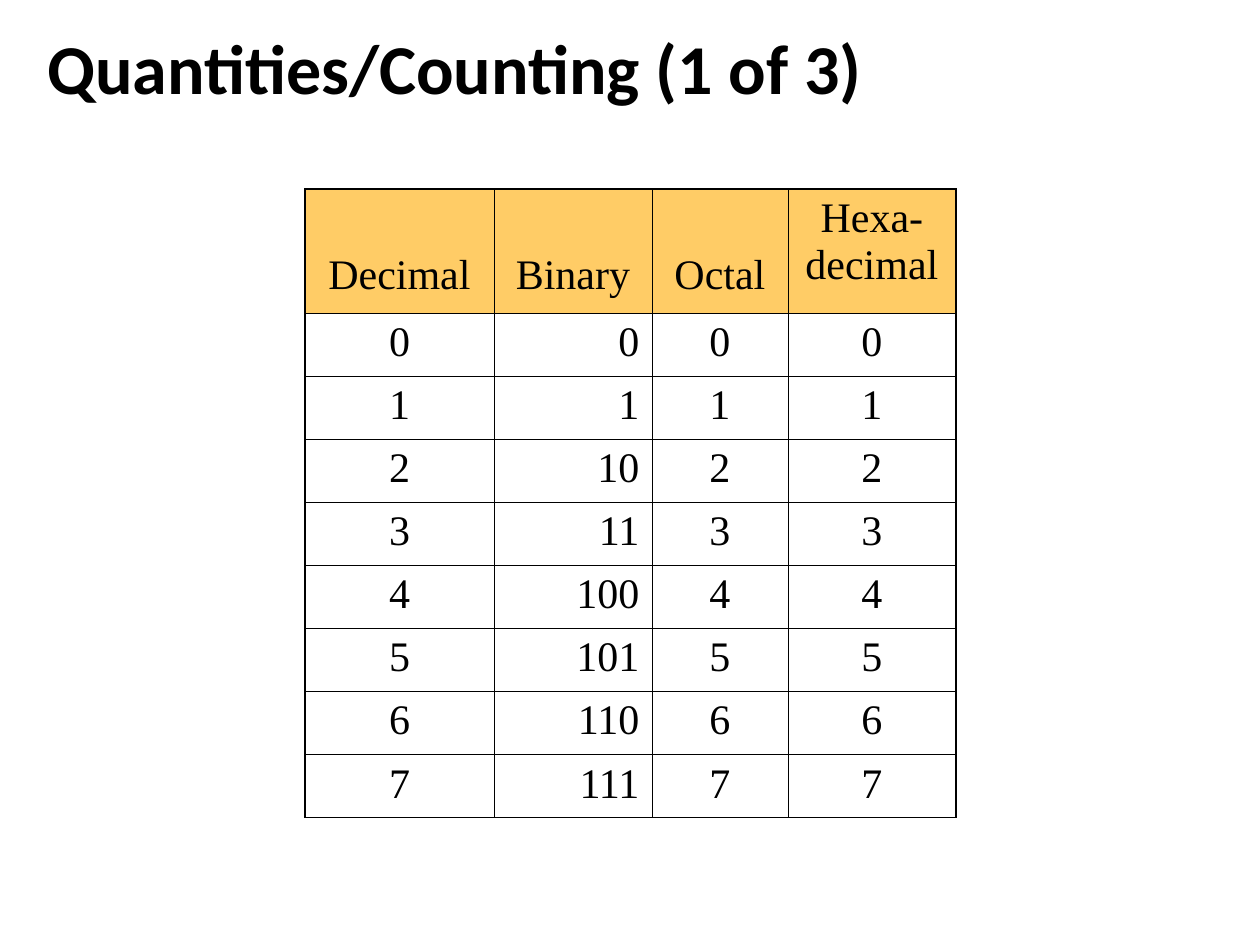
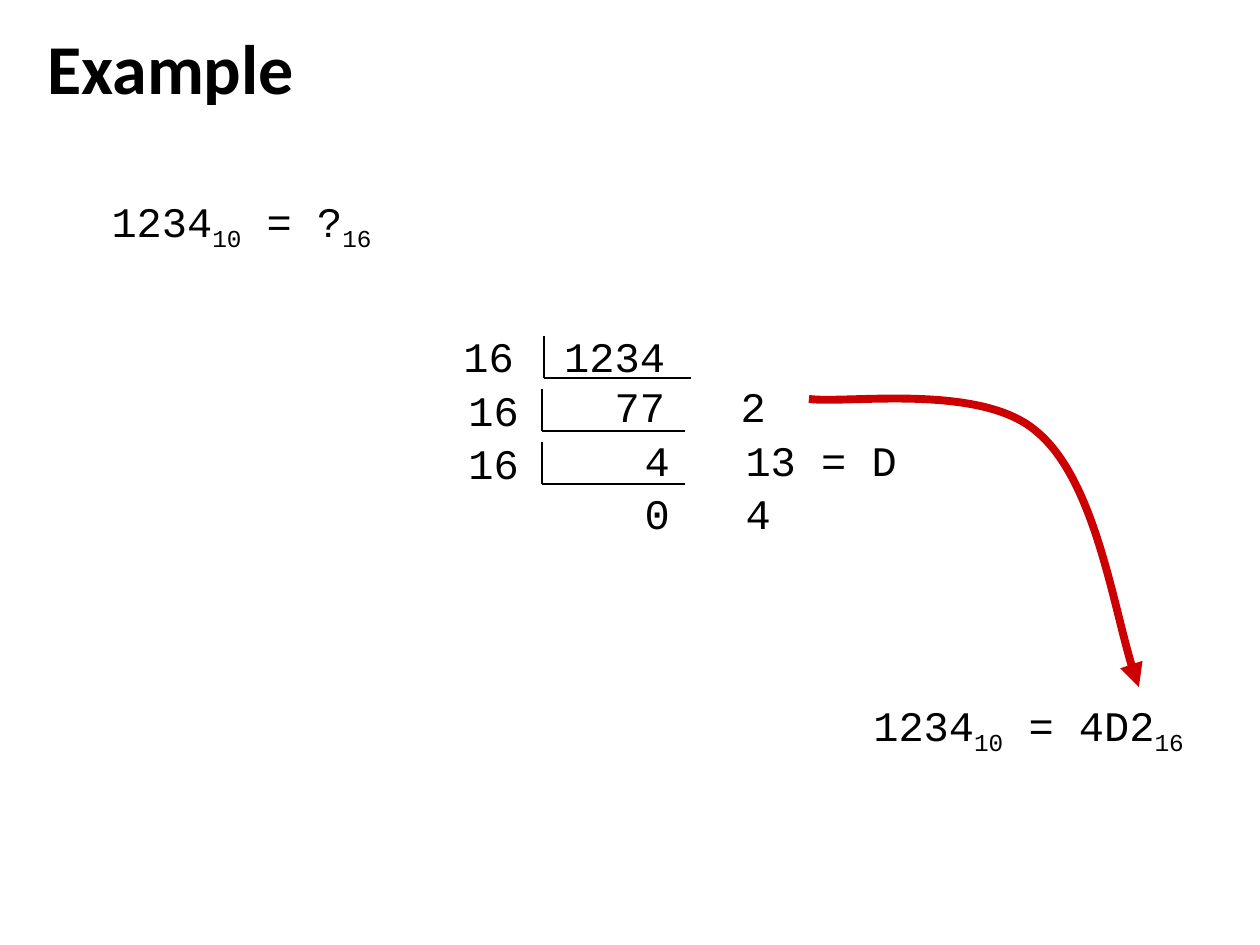
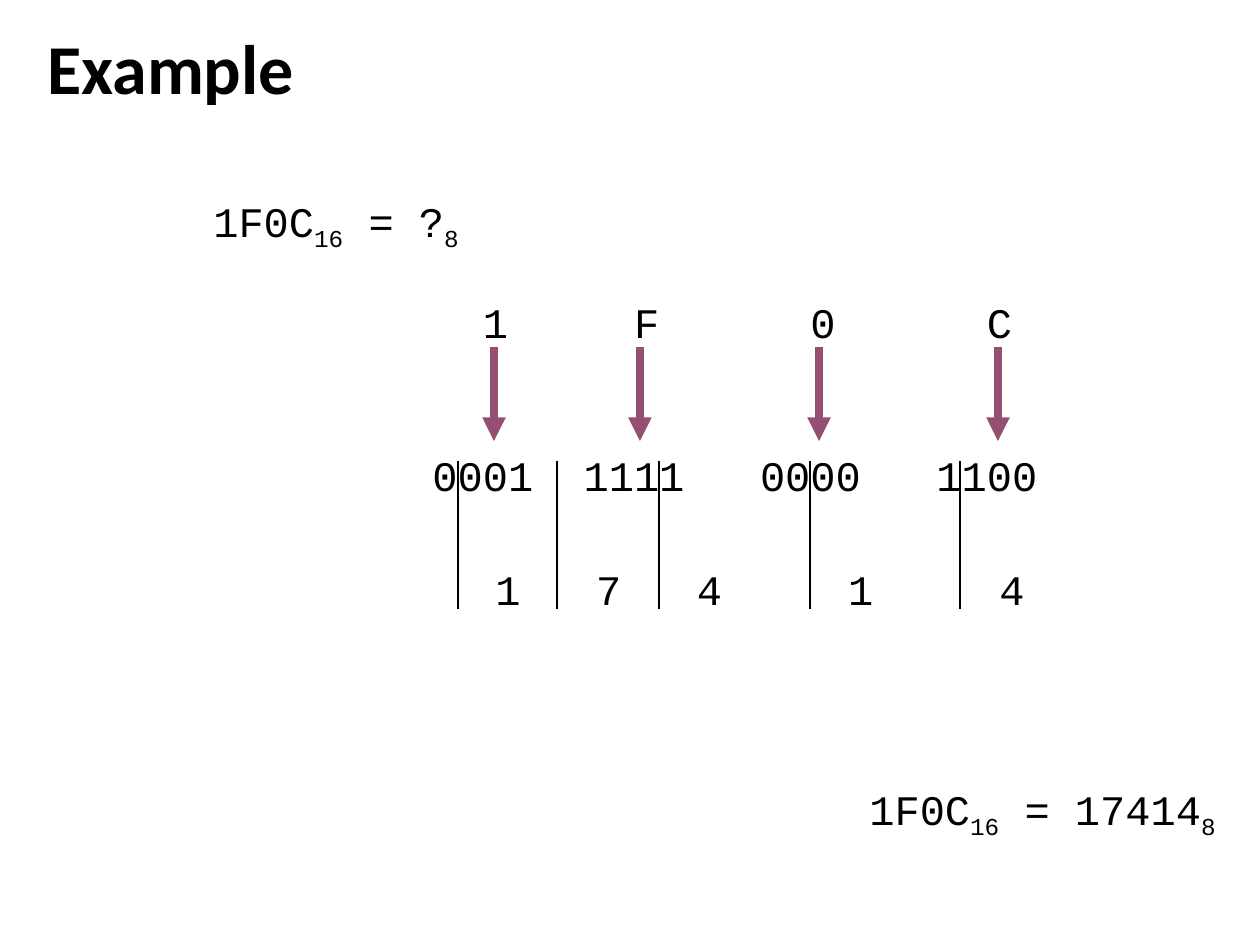
from lxml import etree
from pptx import Presentation
from pptx.dml.color import RGBColor
from pptx.enum.shapes import MSO_CONNECTOR
from pptx.enum.text import MSO_ANCHOR, PP_ALIGN
from pptx.oxml.ns import qn
from pptx.util import Pt

LEFT, MID, RIGHT = PP_ALIGN.LEFT, PP_ALIGN.CENTER, PP_ALIGN.RIGHT
TOP, CENTER, BOTTOM = MSO_ANCHOR.TOP, MSO_ANCHOR.MIDDLE, MSO_ANCHOR.BOTTOM
STRAIGHT = MSO_CONNECTOR.STRAIGHT

BLACK, GOLD, RED, PLUM = "000000", "FFCC66", "CC0000", "954F72"
SANS, SERIF, MONO = "Calibri", "Times New Roman", "Courier New"
CHAR = Pt(14.4)
THIN, THICK = 0.45, 1.08

TITLES = ["Quantities/Counting (1 of 3)", "Example", "Example"]
TITLE_BOX = (35, 0, 1178, 144)

HEADS = ["Decimal", "Binary", "Octal", "Hexa-\vdecimal"]
COUNTS = [(str(n), f"{n:b}", f"{n:o}", f"{n:X}") for n in range(8)]
WIDTHS = [189, 158, 136, 168]
HEAD_H, ROW_H = 124, 63

STEPS = [
    ((451, 324, 340, 113), ["16\t1234", "\t77\t2"], [[4], [6, 11]]),
    ((456, 378, 489, 113), ["16", "\t4\t13 = D"], [[], [7, 11]]),
    ((456, 431, 489, 113), ["16", "\t0\t4"], [[], [7, 11]]),
]
BRACKETS = [(544, 336, 147), (542, 389, 143), (542, 442, 143)]
BRACKET_H = 42
CURVE = [(809, 399), (847, 404), (980, 383), (1036, 431),
         (1094, 478), (1118, 634), (1139, 687)]

SUMS = [
    (1, (42, 189, 399, 71), "1234_10_ = ?_16", MID),
    (1, (829, 693, 399, 71), "1234_10_ = 4D2_16", MID),
    (2, (42, 189, 588, 71), "1F0C_16_ = ?_8", MID),
    (2, (640, 777, 588, 71), "1F0C_16_ = 17414_8", RIGHT),
]
DIGITS = [
    ((420, 290, 672, 384), ["\t1\tF\t0\tC", "0001\t1111\t0000\t1100"],
     [[2, 8, 15, 22], [6, 13, 20]]),
    ((483, 557, 582, 63), ["1\t7\t4\t1\t4"], [[4, 8, 14, 20]]),
]
ARROWS = [494, 640, 819, 998]
SPLITS = [458, 557, 659, 810, 960]


def px(n):
    return round(n * 914400 / 126)


def color(code):
    return RGBColor.from_string(code)


def write(frame, lines, font=MONO, size=24, bold=False, align=LEFT,
          anchor=TOP, tabs=(), gap=0, lead=None):
    frame.word_wrap = True
    frame.vertical_anchor = anchor
    for i, line in enumerate(lines):
        para = frame.paragraphs[0] if i == 0 else frame.add_paragraph()
        para.alignment = align
        if lead:
            para.line_spacing = lead
        if i and gap:
            para.space_before = px(gap)
        if i < len(tabs) and tabs[i]:
            stops = etree.SubElement(para._p.get_or_add_pPr(), qn("a:tabLst"))
            for col in tabs[i]:
                etree.SubElement(stops, qn("a:tab"), pos=str(col * CHAR), algn="l")
        for j, part in enumerate(line.split("_")):
            for k, piece in enumerate(part.split("\v")):
                if k:
                    para.add_line_break()
                run = para.add_run()
                run.text = piece
                run.font.name, run.font.size = font, Pt(size)
                run.font.bold = bold
                run.font.color.rgb = color(BLACK)
                if j % 2:
                    run.font._element.set("baseline", "-25000")


def label(slide, box, lines, **style):
    shape = slide.shapes.add_textbox(*map(px, box))
    write(shape.text_frame, lines, **style)


def stroke(shape, code, width, arrow=False):
    shape.line.color.rgb = color(code)
    shape.line.width = Pt(width)
    if arrow:
        etree.SubElement(shape.line._get_or_add_ln(), qn("a:tailEnd"), type="triangle")


def rule(slide, x1, y1, x2, y2, code=BLACK, width=1, arrow=False):
    line = slide.shapes.add_connector(STRAIGHT, *map(px, (x1, y1, x2, y2)))
    stroke(line, code, width, arrow)
    etree.SubElement(line._element.spPr, qn("a:effectLst"))


def curve(slide, points):
    start, *rest = [(px(x), px(y)) for x, y in points]
    pen = slide.shapes.build_freeform(*start)
    pen.add_line_segments(rest, close=False)
    shape = pen.convert_to_shape()
    shape.shadow.inherit = False
    shape.fill.background()
    stroke(shape, RED, 4.5, arrow=True)
    track = shape._element.find(".//" + qn("a:path"))
    legs = track.findall(qn("a:lnTo"))
    for i in range(0, len(legs), 3):
        bend = etree.SubElement(track, qn("a:cubicBezTo"))
        for leg in legs[i:i + 3]:
            bend.append(leg[0])
            track.remove(leg)


def border(cell, side, width):
    line = etree.SubElement(cell._tc.get_or_add_tcPr(), qn("a:ln" + side),
                            w=str(Pt(width)))
    paint = etree.SubElement(line, qn("a:solidFill"))
    etree.SubElement(paint, qn("a:srgbClr"), val=BLACK)


def grid(slide):
    rows = [HEADS] + COUNTS
    last, end = len(rows) - 1, len(HEADS) - 1
    high = HEAD_H + ROW_H * last
    shape = slide.shapes.add_table(len(rows), len(HEADS), px(305), px(189),
                                   px(sum(WIDTHS)), px(high))
    table = shape.table
    table.first_row = table.horz_banding = False
    for c, width in enumerate(WIDTHS):
        table.columns[c].width = px(width)
    for r, row in enumerate(rows):
        table.rows[r].height = px(ROW_H if r else HEAD_H)
        for c, word in enumerate(row):
            cell = table.cell(r, c)
            edges = {"L": c == 0, "R": c == end, "T": r == 0, "B": r == last}
            for side, outer in edges.items():
                border(cell, side, THICK if outer else THIN)
            if r == 0:
                cell.fill.solid()
                cell.fill.fore_color.rgb = color(GOLD)
            else:
                cell.fill.background()
            write(cell.text_frame, [word], font=SERIF,
                  align=RIGHT if r and c == 1 else MID)
            if r == 0 and c < end:
                cell.vertical_anchor = BOTTOM
                cell.margin_bottom = px(14)
            else:
                cell.vertical_anchor = TOP


def main():
    deck = Presentation()
    deck.slide_width, deck.slide_height = px(1260), px(945)
    slides = []
    for title in TITLES:
        slide = deck.slides.add_slide(deck.slide_layouts[6])
        label(slide, TITLE_BOX, [title], font=SANS, size=40, bold=True,
              anchor=CENTER, lead=0.9)
        slides.append(slide)
    count, divide, split = slides

    grid(count)

    for n, box, text, align in SUMS:
        label(slides[n], box, [text], align=align)

    curve(divide, CURVE)
    for box, lines, tabs in STEPS:
        label(divide, box, lines, tabs=tabs)
    for x, y, width in BRACKETS:
        base = y + BRACKET_H
        rule(divide, x, y, x, base, width=1.5)
        rule(divide, x, base, x + width, base, width=1.5)

    for box, lines, tabs in DIGITS:
        label(split, box, lines, tabs=tabs, gap=103)
    for x in ARROWS:
        rule(split, x, 347, x, 441, PLUM, 4.5, arrow=True)
    for x in SPLITS:
        rule(split, x, 461, x, 609)

    deck.save("out.pptx")


if __name__ == "__main__":
    main()
